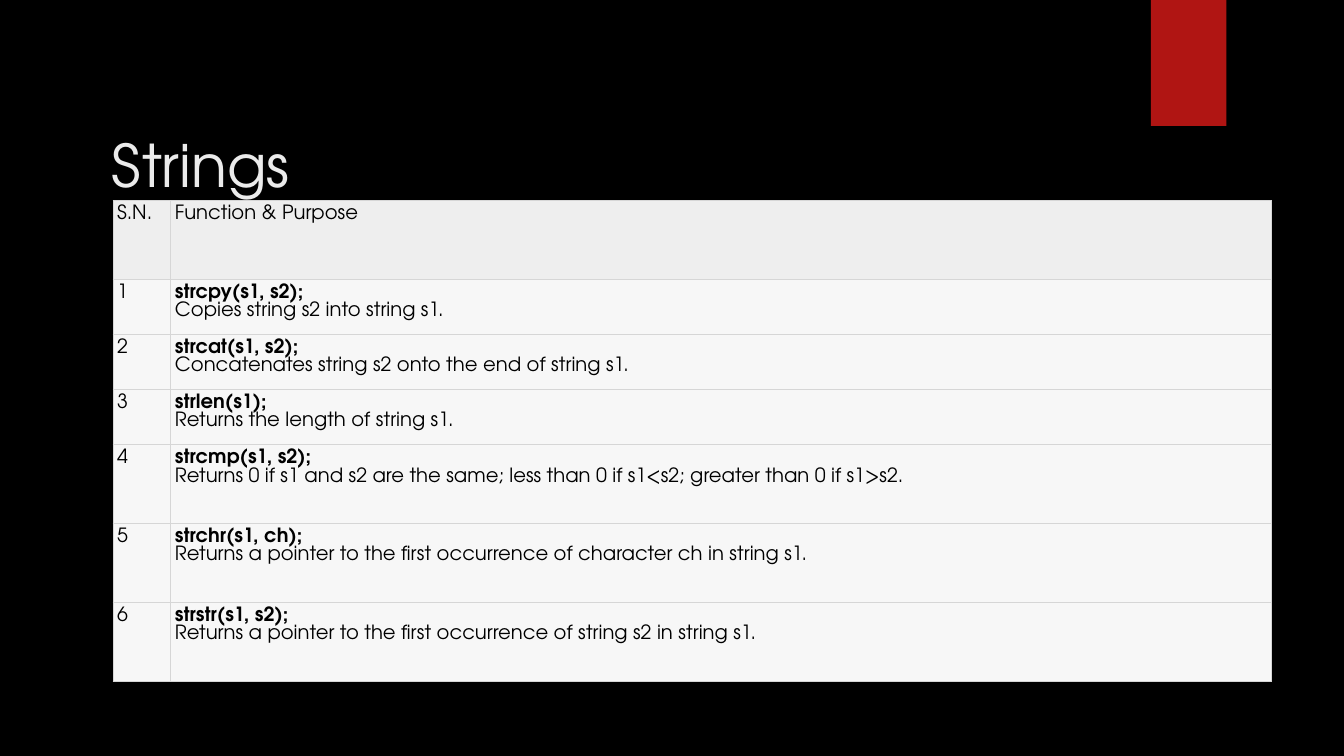
from lxml import etree
from pptx import Presentation
from pptx.dml.color import RGBColor
from pptx.enum.shapes import MSO_SHAPE
from pptx.enum.text import MSO_ANCHOR
from pptx.oxml.ns import qn
from pptx.util import Pt

RECTANGLE = MSO_SHAPE.RECTANGLE
BOTTOM = MSO_ANCHOR.BOTTOM
TOP = MSO_ANCHOR.TOP
FONT = "TeX Gyre Adventor"
COLORS = {
    "background": "000000",
    "ribbon": "B01513",
    "title": "EBEBEB",
    "text": "000000",
    "header": "EEEEEE",
    "body": "F7F7F7",
    "border": "D6D6D6",
}
FUNCTIONS = [
    ("strcpy(s1, s2);", "Copies string s2 into string s1."),
    ("strcat(s1, s2);", "Concatenates string s2 onto the end of string s1."),
    ("strlen(s1);", "Returns the length of string s1."),
    ("strcmp(s1, s2);", "Returns 0 if s1 and s2 are the same; less than 0 if s1<s2; greater than 0 if s1>s2."),
    ("strchr(s1, ch);", "Returns a pointer to the first occurrence of character ch in string s1."),
    ("strstr(s1, s2);", "Returns a pointer to the first occurrence of string s2 in string s1."),
]
TALL, SHORT = 56.3, 39.4
ROW_HEIGHTS = [TALL, SHORT, SHORT, SHORT, TALL, TALL, TALL]
NUMBER_WIDTH = 41.4


def color(name):
    """Return the named colour."""
    return RGBColor.from_string(COLORS[name])


def add_span(para, text, size, color_name, bold=False):
    """Append one formatted run to a paragraph."""
    span = para.add_run()
    span.text = text
    span.font.name = FONT
    span.font.size = Pt(size)
    span.font.bold = bold
    span.font.color.rgb = color(color_name)


def add_ribbon(page, left, top, width, height):
    """Draw the red ribbon hanging from the top edge."""
    ribbon = page.shapes.add_shape(RECTANGLE, Pt(left), Pt(top), Pt(width), Pt(height))
    ribbon.shadow.inherit = False
    ribbon.fill.solid()
    ribbon.fill.fore_color.rgb = color("ribbon")
    ribbon.line.fill.background()


def add_title(page, left, top, width, height, text):
    """Write the slide title at the bottom of its box."""
    box = page.shapes.add_textbox(Pt(left), Pt(top), Pt(width), Pt(height))
    frame = box.text_frame
    frame.word_wrap = True
    frame.vertical_anchor = BOTTOM
    frame.margin_left = frame.margin_right = 0
    add_span(frame.paragraphs[0], text, 42, "title")


def style_cell(cell, fill_name):
    """Set the margins, borders and fill of a cell."""
    cell.margin_left = cell.margin_right = Pt(2.9)
    cell.margin_top = cell.margin_bottom = Pt(2.9)
    cell.vertical_anchor = TOP
    properties = cell._tc.get_or_add_tcPr()
    for side in ("a:lnL", "a:lnR", "a:lnT", "a:lnB"):
        line = etree.SubElement(properties, qn(side), w=str(Pt(0.75)))
        fill = etree.SubElement(line, qn("a:solidFill"))
        etree.SubElement(fill, qn("a:srgbClr"), val=COLORS["border"])
    cell.fill.solid()
    cell.fill.fore_color.rgb = color(fill_name)


def write_cell(cell, lines, fill_name):
    """Write lines into a cell, the first of several in bold."""
    style_cell(cell, fill_name)
    para = cell.text_frame.paragraphs[0]
    para.line_spacing = Pt(13.2)
    for index, text in enumerate(lines):
        if index:
            para.add_line_break()
        add_span(para, text, 14, "text", bold=index < len(lines) - 1)


def add_function_table(page, left, top, width):
    """Build the table of string functions."""
    frame = page.shapes.add_table(
        len(ROW_HEIGHTS), 2, Pt(left), Pt(top), Pt(width), Pt(sum(ROW_HEIGHTS))
    )
    table = frame.table
    table.first_row = table.horz_banding = False
    table.columns[0].width = Pt(NUMBER_WIDTH)
    table.columns[1].width = Pt(width - NUMBER_WIDTH)
    for row, height in zip(table.rows, ROW_HEIGHTS):
        row.height = Pt(height)
    write_cell(table.cell(0, 0), ["S.N."], "header")
    write_cell(table.cell(0, 1), ["Function & Purpose"], "header")
    for number, lines in enumerate(FUNCTIONS, 1):
        write_cell(table.cell(number, 0), [str(number)], "body")
        write_cell(table.cell(number, 1), lines, "body")


def build_strings_slide(deck):
    """Add the slide about string functions."""
    page = deck.slides.add_slide(deck.slide_layouts[6])
    page.background.fill.solid()
    page.background.fill.fore_color.rgb = color("background")
    add_ribbon(page, 822, 0, 54, 90)
    add_title(page, 80, 36, 712, 110, "Strings")
    add_function_table(page, 80.7, 143.2, 827.6)


def main():
    """Create and save the deck."""
    deck = Presentation()
    deck.slide_width = Pt(960)
    deck.slide_height = Pt(540)
    build_strings_slide(deck)
    deck.save("out.pptx")


if __name__ == "__main__":
    main()
